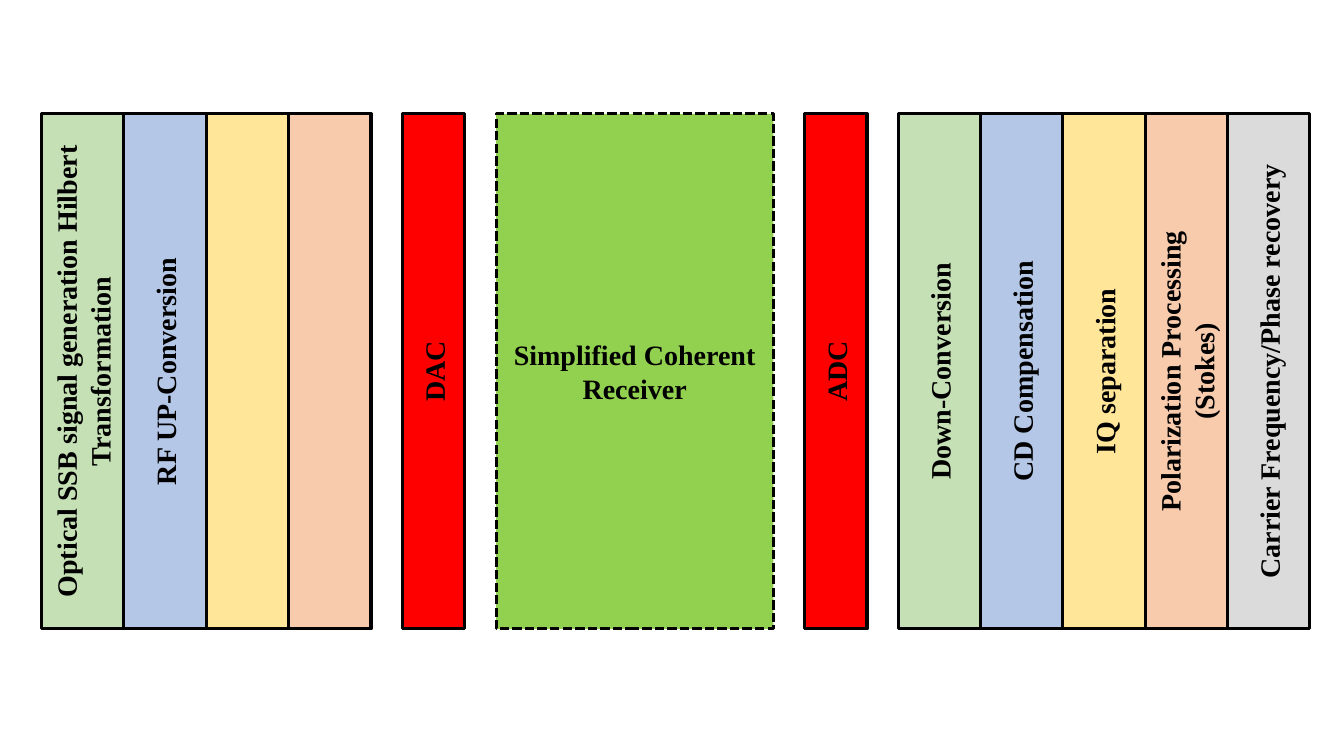
from dataclasses import dataclass

from pptx import Presentation
from pptx import util as u
from pptx.dml.color import RGBColor
from pptx.enum import dml, shapes, text
from pptx.shapes.autoshape import Shape
from pptx.shapes.shapetree import GroupShapes

COLORS = {
    "green": "C5E0B4",
    "blue": "B4C7E7",
    "yellow": "FFE699",
    "orange": "F8CBAD",
    "grey": "DBDBDB",
    "red": "FF0000",
    "lime": "92D050",
    "black": "000000",
}
TOP, HEIGHT = 1.13, 5.11
START, GAP = 0.41, 0.31


@dataclass(frozen=True)
class Block:
    """One processing step; each label line is a paragraph."""
    color: str
    label: str = ""
    vertical: bool = True
    dashed: bool = False


@dataclass(frozen=True)
class Section:
    """Adjoining blocks that share a width equally."""
    width: float
    blocks: tuple[Block, ...]


SECTIONS = (
    Section(3.27, (
        Block("green", "Optical SSB signal generation Hilbert Transformation"),
        Block("blue", "RF UP-Conversion"),
        Block("yellow"),
        Block("orange"),
    )),
    Section(0.62, (Block("red", "DAC"),)),
    Section(2.75, (
        Block("lime", "Simplified Coherent Receiver", vertical=False, dashed=True),
    )),
    Section(0.62, (Block("red", "ADC"),)),
    Section(4.08, (
        Block("green", "Down-Conversion"),
        Block("blue", "CD Compensation"),
        Block("yellow", "IQ separation"),
        Block("orange", "Polarization Processing\n(Stokes)"),
        Block("grey", "Carrier Frequency/Phase recovery"),
    )),
)


def rgb(name: str) -> RGBColor:
    """Look up a palette colour."""
    return RGBColor.from_string(COLORS[name])


def write_label(box: Shape, label: str, *, size: float = 20, bold: bool = True,
                font: str = "Times New Roman", color: str = "black",
                vertical: bool = False) -> None:
    """Write centred text in a box, optionally reading upwards."""
    frame = box.text_frame
    frame.word_wrap = True
    frame.vertical_anchor = text.MSO_ANCHOR.MIDDLE
    if vertical:
        box.element.txBody.bodyPr.set("vert", "vert270")
    frame.text = label
    for line in frame.paragraphs:
        line.alignment = text.PP_ALIGN.CENTER
        for run in line.runs:
            run.font.name = font
            run.font.size = u.Pt(size)
            run.font.bold = bold
            run.font.color.rgb = rgb(color)


def draw_block(canvas: GroupShapes, block: Block, left: float, width: float) -> None:
    """Draw one outlined block with its label."""
    box = canvas.add_shape(shapes.MSO_SHAPE.RECTANGLE, u.Inches(left), u.Inches(TOP),
                           u.Inches(width), u.Inches(HEIGHT))
    box.shadow.inherit = False
    box.fill.solid()
    box.fill.fore_color.rgb = rgb(block.color)
    box.line.color.rgb = rgb("black")
    box.line.width = u.Pt(2.25)
    if block.dashed:
        box.line.dash_style = dml.MSO_LINE.SQUARE_DOT
    if block.label:
        write_label(box, block.label, vertical=block.vertical)


def draw_section(canvas: GroupShapes, section: Section, left: float) -> None:
    """Draw the blocks of a section side by side."""
    width = section.width / len(section.blocks)
    for index, block in enumerate(section.blocks):
        draw_block(canvas, block, left + index * width, width)


def main() -> None:
    """Build the signal chain slide."""
    deck = Presentation()
    deck.slide_width, deck.slide_height = u.Inches(13.33), u.Inches(7.5)
    slide = deck.slides.add_slide(deck.slide_layouts[6])
    chain = slide.shapes.add_group_shape()
    left = START
    for section in SECTIONS:
        draw_section(chain.shapes, section, left)
        left += section.width + GAP
    deck.save("out.pptx")


main()
